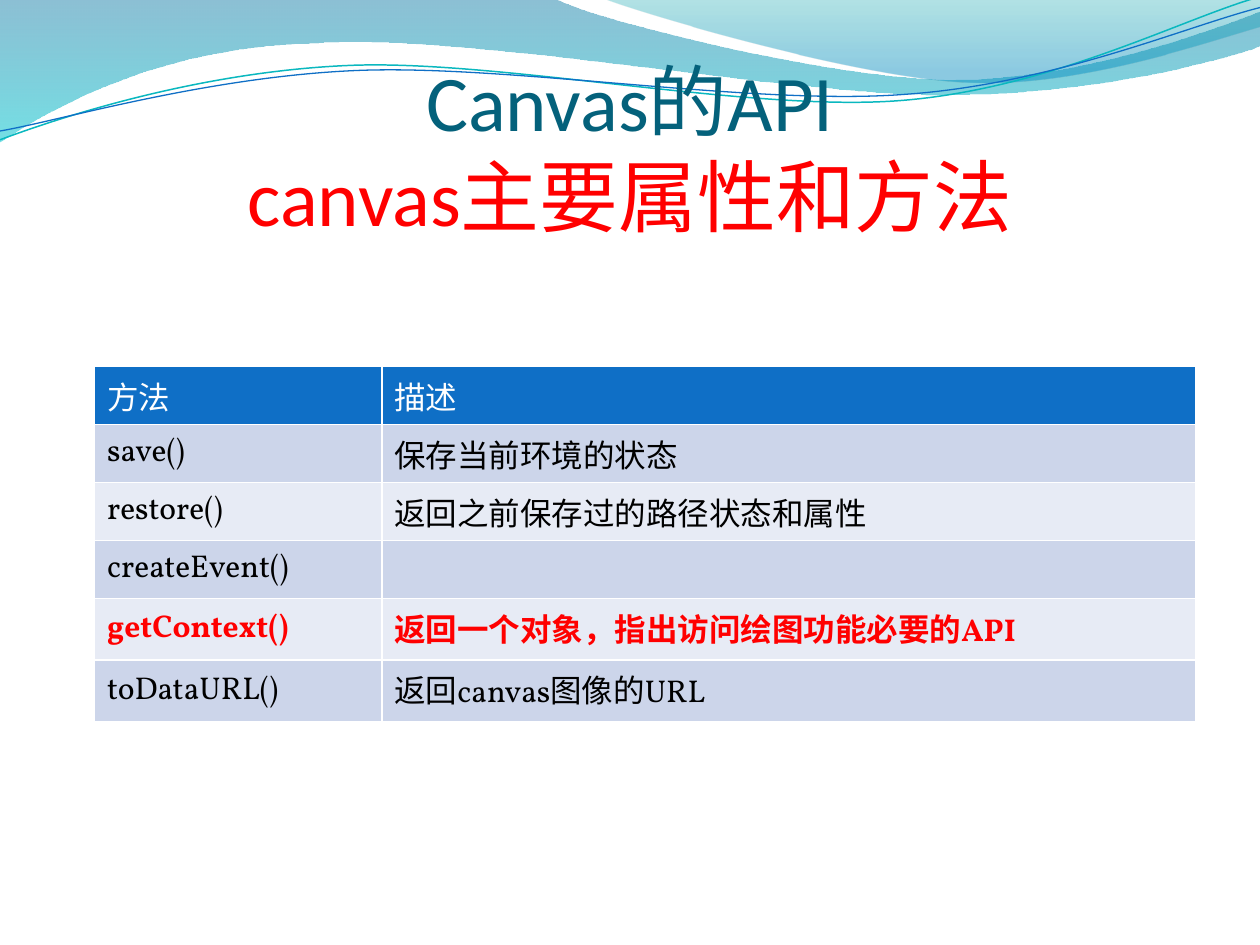
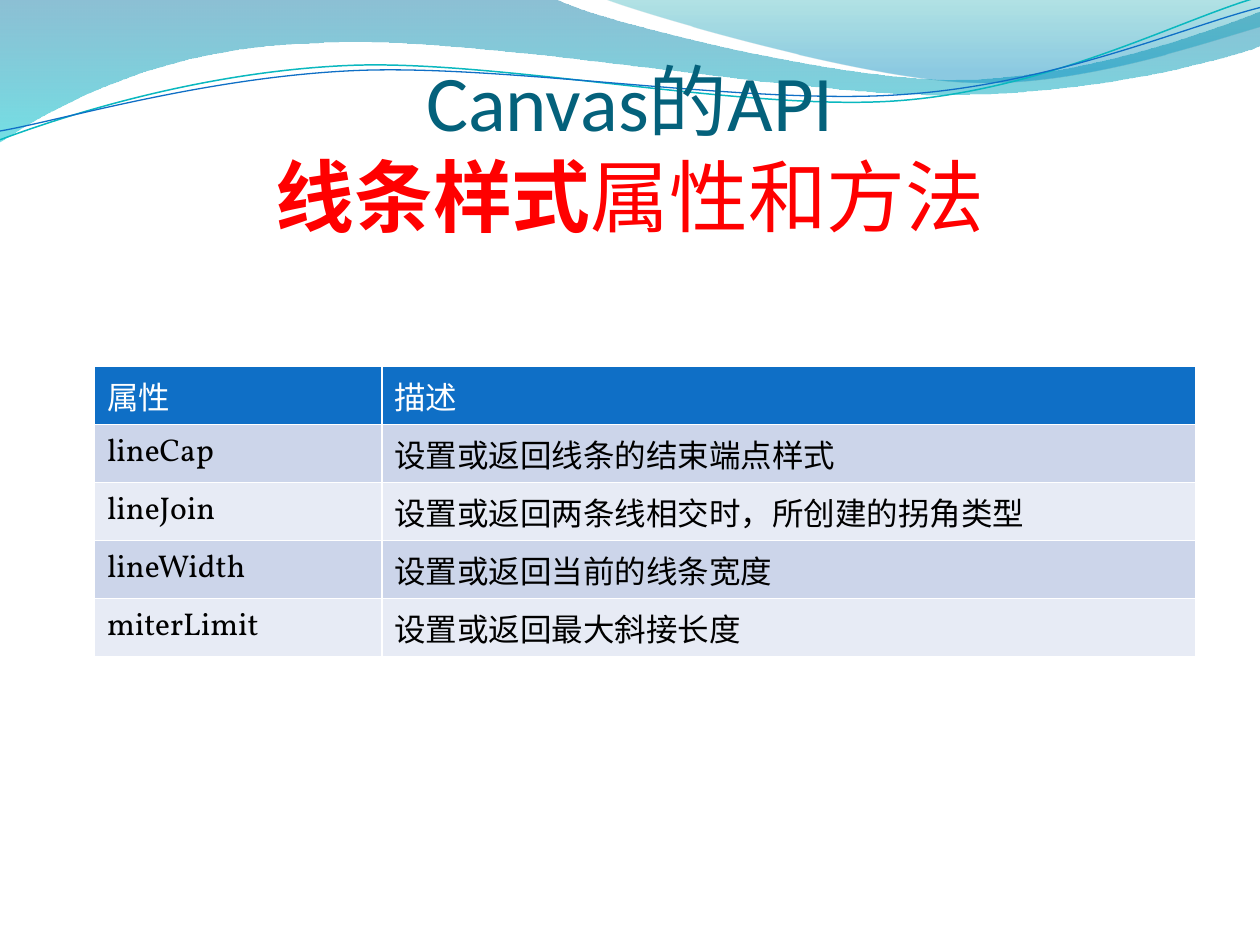
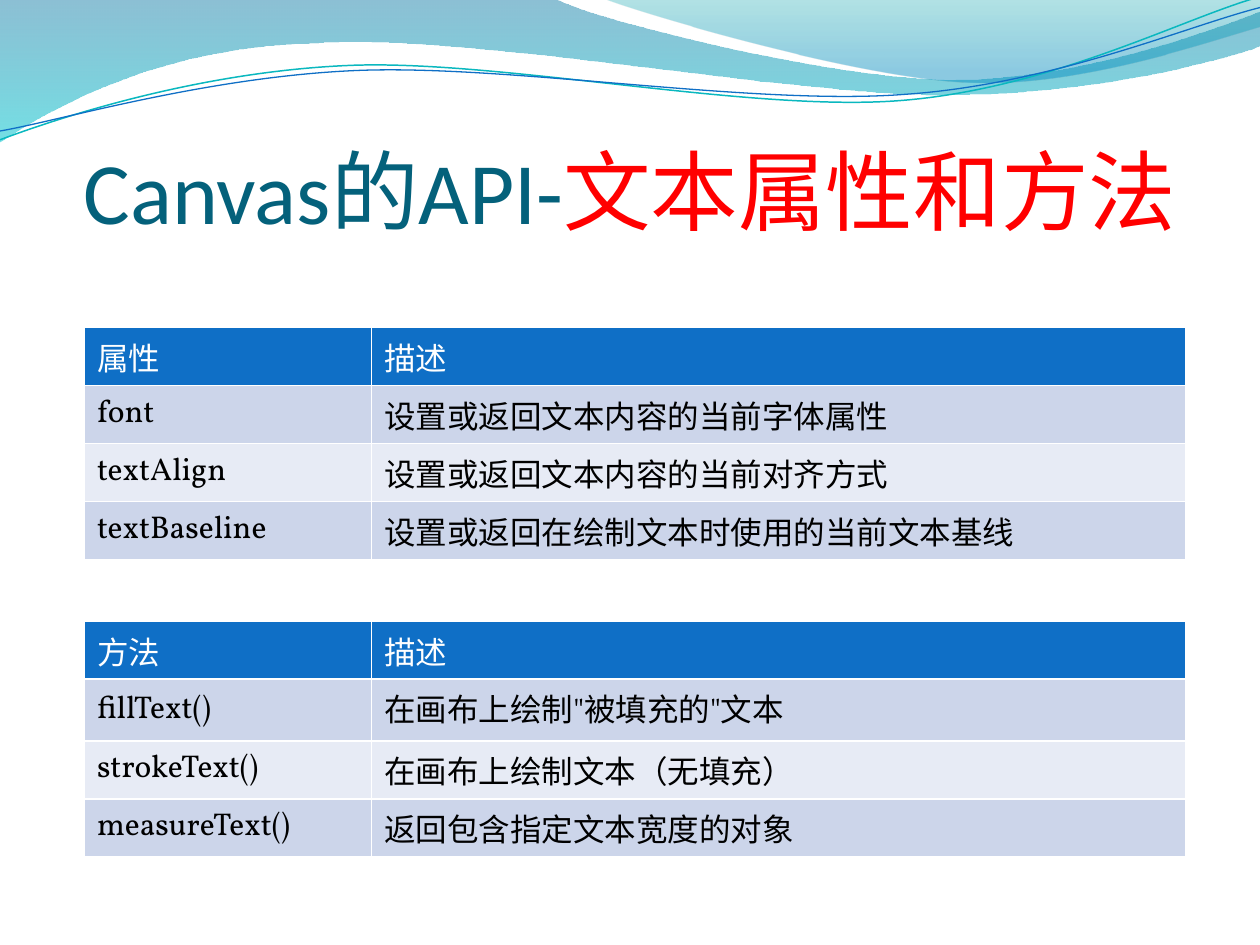
from lxml.etree import SubElement
from pptx import Presentation
from pptx.dml.color import RGBColor
from pptx.enum.text import MSO_ANCHOR, PP_ALIGN
from pptx.oxml.ns import qn
from pptx.util import Emu, Pt

PX = 9144

WHITE, BLACK, RED = "FFFFFF", "000000", "FF0000"
TITLE_TEAL = "04617B"
HEADER_BLUE = "0F6FC6"
LINE_TEAL = "0AB8BF"
BAND_FILLS = ("CCD5EA", "E7EBF5")

TITLE_FONT, TABLE_FONT = "Calibri", "Vollkorn"
COLUMN_WIDTHS = (228, 646)
ROW_HEIGHT, TALL_ROW_HEIGHT = 46, 49
TALL_ROWS = ("getContext()", "toDataURL()", "fillText()")

LEFT_WAVE = [
    [(0, 0)], [(440, -1)],
    [(476, 17), (664, 63), (758, 63)],
    [(853, 63), (958, 26), (1000, 9)],
    [(1001, 36)],
    [(983, 44), (870, 76), (746, 75)],
    [(622, 75), (382, 28), (257, 34)],
    [(129, 36), (46, 83), (-1, 113)],
]
RIGHT_WAVE = [
    [(479, -1)],
    [(509, 11), (682, 62), (769, 65)],
    [(856, 69), (961, 32), (1000, 21)],
    [(1000, 0)],
]
TEAL_CURVE = [
    [(0, 111)],
    [(48, 93), (158, 57), (277, 52)],
    [(395, 47), (593, 89), (713, 80)],
    [(833, 71), (938, 15), (998, -2)],
]
BLUE_CURVE = [
    [(0, 104)],
    [(47, 96), (164, 61), (283, 56)],
    [(403, 51), (597, 84), (717, 75)],
    [(836, 67), (941, 21), (1000, 6)],
]

CANVAS_METHODS = [
    ("方法", "描述"),
    ("save()", "保存当前环境的状态"),
    ("restore()", "返回之前保存过的路径状态和属性"),
    ("createEvent()", ""),
    ("getContext()", "返回一个对象，指出访问绘图功能必要的API"),
    ("toDataURL()", "返回canvas图像的URL"),
]
LINE_PROPERTIES = [
    ("属性", "描述"),
    ("lineCap", "设置或返回线条的结束端点样式"),
    ("lineJoin", "设置或返回两条线相交时，所创建的拐角类型"),
    ("lineWidth", "设置或返回当前的线条宽度"),
    ("miterLimit", "设置或返回最大斜接长度"),
]
TEXT_PROPERTIES = [
    ("属性", "描述"),
    ("font", "设置或返回文本内容的当前字体属性"),
    ("textAlign", "设置或返回文本内容的当前对齐方式"),
    ("textBaseline", "设置或返回在绘制文本时使用的当前文本基线"),
]
TEXT_METHODS = [
    ("方法", "描述"),
    ("fillText()", '在画布上绘制"被填充的"文本'),
    ("strokeText()", "在画布上绘制文本（无填充）"),
    ("measureText()", "返回包含指定文本宽度的对象"),
]


def px(length):
    return Emu(length * PX)


def color(value):
    return RGBColor.from_string(value)


def add_text(paragraph, text, font=TABLE_FONT, size=18, fill=BLACK, bold=False):
    run = paragraph.add_run()
    run.text = text
    run.font.name = font
    run.font.size = Pt(size)
    run.font.bold = bold
    run.font.color.rgb = color(fill)


def bend_segments(shape, segments):
    line_elements = iter(list(shape.element.spPr.iter(qn("a:lnTo"))))
    for segment in segments[1:]:
        elements = [next(line_elements) for _ in segment]
        if len(segment) == 3:
            curve = SubElement(elements[0].getparent(), qn("a:cubicBezTo"))
            elements[0].addprevious(curve)
            for element in elements:
                curve.append(element[0])
                element.getparent().remove(element)


def add_outline(slide, segments, close):
    start, *others = [(px(x), px(y)) for segment in segments for x, y in segment]
    builder = slide.shapes.build_freeform(*start)
    builder.add_line_segments(others, close=close)
    shape = builder.convert_to_shape()
    shape.shadow.inherit = False
    bend_segments(shape, segments)
    return shape


def add_wave(slide, segments, stops):
    shape = add_outline(slide, segments, True)
    shape.line.fill.background()
    shape.fill.gradient()
    shape.fill.gradient_angle = 270
    for stop, (position, value, _) in zip(shape.fill.gradient_stops, stops):
        stop.position = position
        stop.color.rgb = color(value)
    for element, (_, _, opacity) in zip(shape.element.spPr.iter(qn("a:srgbClr")), stops):
        SubElement(element, qn("a:alpha"), val=str(opacity * 1000))


def add_curve(slide, segments, value, width):
    shape = add_outline(slide, segments, False)
    shape.fill.background()
    shape.line.color.rgb = color(value)
    shape.line.width = Pt(width)


def add_title(slide, lines, size=45):
    box = slide.shapes.add_textbox(px(50), px(76), px(900), px(116))
    frame = box.text_frame
    frame.word_wrap = True
    frame.vertical_anchor = MSO_ANCHOR.BOTTOM
    frame.margin_left = frame.margin_right = frame.margin_bottom = 0
    frame.margin_top = px(5)
    paragraph = frame.paragraphs[0]
    paragraph.alignment = PP_ALIGN.CENTER
    for index, runs in enumerate(lines):
        if index:
            paragraph.add_line_break()
        for text, fill, bold in runs:
            add_text(paragraph, text, font=TITLE_FONT, size=size, fill=fill, bold=bold)


def set_borders(cell):
    properties = cell._tc.get_or_add_tcPr()
    for side in "LRTB":
        line = SubElement(properties, qn(f"a:ln{side}"), w=str(Pt(1)))
        fill = SubElement(line, qn("a:solidFill"))
        SubElement(fill, qn("a:srgbClr"), val=WHITE)


def fill_cell(cell, text, background, **text_format):
    set_borders(cell)
    cell.fill.solid()
    cell.fill.fore_color.rgb = color(background)
    cell.vertical_anchor = MSO_ANCHOR.MIDDLE
    if text:
        add_text(cell.text_frame.paragraphs[0], text, **text_format)


def add_reference_table(slide, left, top, rows, highlight=None):
    heights = [TALL_ROW_HEIGHT if texts[0] in TALL_ROWS else ROW_HEIGHT for texts in rows]
    frame = slide.shapes.add_table(
        len(rows), len(COLUMN_WIDTHS), px(left), px(top),
        px(sum(COLUMN_WIDTHS)), px(sum(heights)))
    table = frame.table
    table.horz_banding = False
    for column, width in zip(table.columns, COLUMN_WIDTHS):
        column.width = px(width)
    for row_index, (texts, height) in enumerate(zip(rows, heights)):
        table.rows[row_index].height = px(height)
        is_highlight = texts[0] == highlight
        if row_index == 0:
            background, text_color = HEADER_BLUE, WHITE
        else:
            background = BAND_FILLS[(row_index - 1) % 2]
            text_color = RED if is_highlight else BLACK
        for column_index, text in enumerate(texts):
            fill_cell(table.cell(row_index, column_index), text, background,
                      fill=text_color, bold=is_highlight)


def add_wave_slide(presentation):
    slide = presentation.slides.add_slide(presentation.slide_layouts[6])
    add_wave(slide, LEFT_WAVE, [(0, "0074A1", 45), (1, "00C6CF", 55)])
    add_wave(slide, RIGHT_WAVE, [(0, "00A1A9", 30), (0.8, "008BBF", 45)])
    add_curve(slide, TEAL_CURVE, LINE_TEAL, 0.85)
    add_curve(slide, BLUE_CURVE, HEADER_BLUE, 0.75)
    return slide


def main():
    presentation = Presentation()
    presentation.slide_width, presentation.slide_height = px(1000), px(750)
    api_line = [("Canvas的API", TITLE_TEAL, False)]

    slide = add_wave_slide(presentation)
    add_title(slide, [api_line, [("canvas主要属性和方法", RED, False)]])
    add_reference_table(slide, 75, 291, CANVAS_METHODS, highlight="getContext()")

    slide = add_wave_slide(presentation)
    add_title(slide, [api_line, [("线条样式", RED, True), ("属性和方法", RED, False)]])
    add_reference_table(slide, 75, 291, LINE_PROPERTIES)

    slide = add_wave_slide(presentation)
    add_title(slide, [[("Canvas的API-", TITLE_TEAL, False), ("文本属性和方法", RED, False)]], size=50)
    add_reference_table(slide, 67, 260, TEXT_PROPERTIES)
    add_reference_table(slide, 67, 493, TEXT_METHODS)

    presentation.save("out.pptx")


if __name__ == "__main__":
    main()
